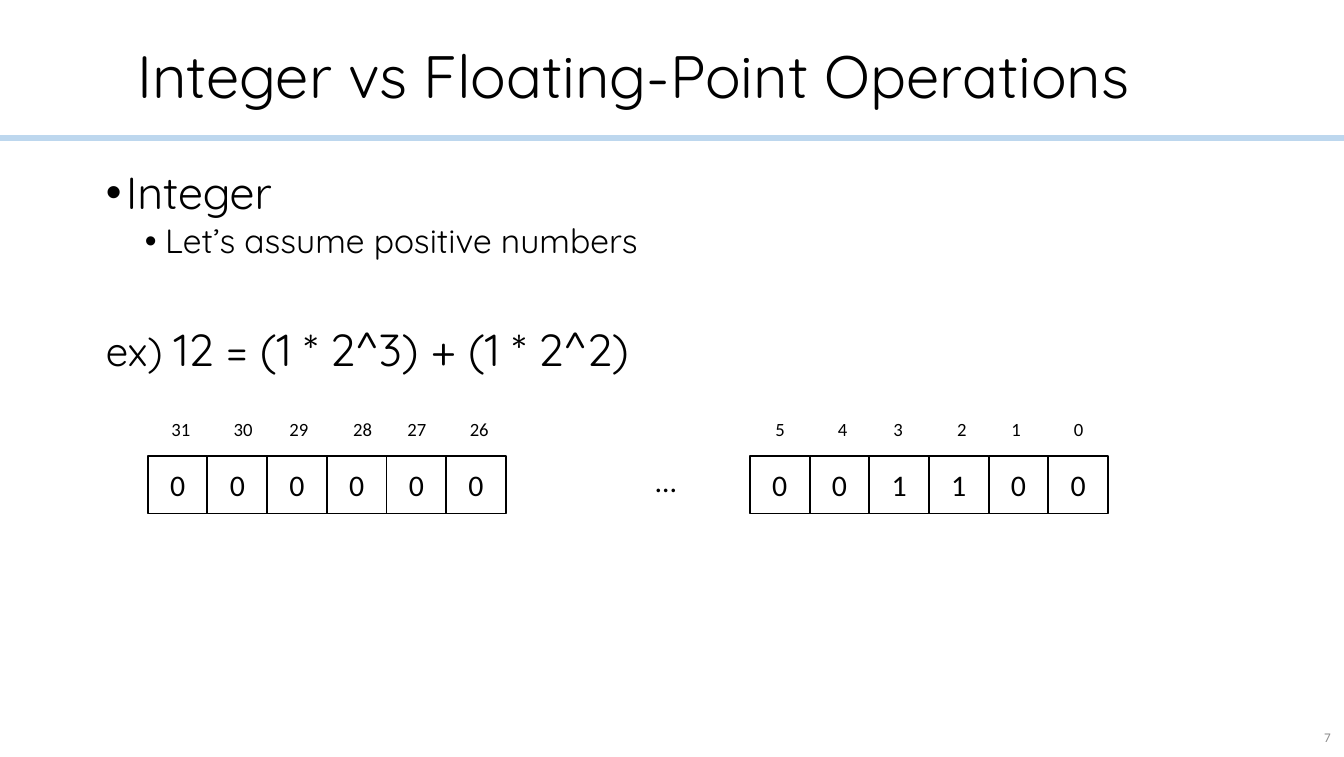
from dataclasses import dataclass

import pptx
import pptx.dml.color
import pptx.enum.shapes
import pptx.enum.text
import pptx.oxml
import pptx.oxml.ns
import pptx.util

Align = pptx.enum.text.PP_ALIGN
Anchor = pptx.enum.text.MSO_ANCHOR


@dataclass(frozen=True)
class Theme:
    ink: str = "000000"
    rule: str = "BDD7EE"
    muted: str = "8C8C8C"
    heading_font: str = "Quicksand"
    label_font: str = "Calibri"
    title: float = 32
    body: float = 24
    example: float = 21.6
    detail: float = 18
    bit: float = 16
    index: float = 10
    page: float = 7.1
    line_spacing: float = 0.9


@dataclass(frozen=True)
class Area:
    """A rectangle in percent of the slide's width and height."""
    left: float
    top: float
    width: float
    height: float


@dataclass(frozen=True)
class BitGroup:
    left: float
    label_left: float
    highest_index: int
    bits: str


THEME = Theme()
SLIDE_WIDTH = pptx.util.Inches(10)
SLIDE_HEIGHT = pptx.util.Inches(5.63)

BIT_WIDTH, BIT_TOP, BIT_HEIGHT = 4.44, 60.2, 7.65
INDEX_WIDTH, INDEX_TOP, INDEX_HEIGHT = 3.5, 54.35, 4.8
INDEX_NUDGES = (0, 0.2, -0.1, 0.2, -0.2, 0)
BIT_GROUPS = (
    BitGroup(11.0, 11.7, 31, "000000"),
    BitGroup(55.8, 56.3, 5, "001100"),
)


def place(area: Area) -> tuple[int, int, int, int]:
    """Turn percentages into slide lengths."""
    return (
        round(SLIDE_WIDTH * area.left / 100),
        round(SLIDE_HEIGHT * area.top / 100),
        round(SLIDE_WIDTH * area.width / 100),
        round(SLIDE_HEIGHT * area.height / 100),
    )


def color(value: str) -> pptx.dml.color.RGBColor:
    return pptx.dml.color.RGBColor.from_string(value)


def set_font(font, name: str, size: float, ink: str = THEME.ink) -> None:
    font.name = name
    font.size = pptx.util.Pt(size)
    font.color.rgb = color(ink)


def add_rectangle(slide, area: Area, line: str, fill: str | None = None):
    shape = slide.shapes.add_shape(
        pptx.enum.shapes.MSO_SHAPE.RECTANGLE, *place(area))
    shape.shadow.inherit = False
    if fill:
        shape.fill.solid()
        shape.fill.fore_color.rgb = color(fill)
    else:
        shape.fill.background()
    shape.line.color.rgb = color(line)
    shape.line.width = pptx.util.Pt(1)
    return shape


def add_text_frame(slide, area: Area):
    frame = slide.shapes.add_textbox(*place(area)).text_frame
    frame.word_wrap = True
    return frame


def write(frame, text: str, font: str, size: float, ink: str = THEME.ink,
          align: Align = Align.CENTER, anchor: Anchor = Anchor.TOP):
    """Fill a frame with one line of text and return its paragraph."""
    frame.vertical_anchor = anchor
    paragraph = frame.paragraphs[0]
    paragraph.text = text
    paragraph.alignment = align
    set_font(paragraph.font, font, size, ink)
    return paragraph


def add_bullet(paragraph, margin: float, indent: float) -> None:
    properties = paragraph._p.get_or_add_pPr()
    properties.set("marL", str(pptx.util.Inches(margin)))
    properties.set("indent", str(pptx.util.Inches(indent)))
    namespace = pptx.oxml.ns.nsdecls("a")
    properties.append(pptx.oxml.parse_xml(f'<a:buFont {namespace} typeface="Arial"/>'))
    properties.append(pptx.oxml.parse_xml(f'<a:buChar {namespace} char="•"/>'))


def add_body(slide) -> None:
    frame = add_text_frame(slide, Area(6.9, 21.67, 85, 70.16))
    topic = frame.paragraphs[0]
    detail = frame.add_paragraph()
    example = frame.add_paragraph()

    topic.text = "Integer"
    add_bullet(topic, 0.15, -0.15)
    set_font(topic.font, THEME.heading_font, THEME.body)

    detail.text = "Let’s assume positive numbers"
    detail.level = 1
    detail.space_before = pptx.util.Pt(3)
    add_bullet(detail, 0.44, -0.15)
    set_font(detail.font, THEME.heading_font, THEME.detail)

    example.space_before = pptx.util.Pt(36)
    for text, size in (("ex) ", THEME.example),
                       ("12 = (1 * 2^3) + (1 * 2^2)", THEME.body)):
        run = example.add_run()
        run.text = text
        set_font(run.font, THEME.heading_font, size)

    for paragraph in frame.paragraphs:
        paragraph.line_spacing = THEME.line_spacing


def add_bit_group(slide, group: BitGroup) -> None:
    for column, (bit, nudge) in enumerate(zip(group.bits, INDEX_NUDGES)):
        offset = column * BIT_WIDTH
        cell = add_rectangle(
            slide, Area(group.left + offset, BIT_TOP, BIT_WIDTH, BIT_HEIGHT), THEME.ink)
        write(cell.text_frame, bit, THEME.label_font, THEME.bit, anchor=Anchor.MIDDLE)
        label = add_text_frame(slide, Area(
            group.label_left + offset + nudge, INDEX_TOP, INDEX_WIDTH, INDEX_HEIGHT))
        write(label, str(group.highest_index - column), THEME.label_font, THEME.index)


def main() -> None:
    presentation = pptx.Presentation()
    presentation.slide_width = SLIDE_WIDTH
    presentation.slide_height = SLIDE_HEIGHT
    slide = presentation.slides.add_slide(presentation.slide_layouts[6])

    add_rectangle(slide, Area(0, 17.94, 100, 0.53), THEME.rule, THEME.rule)
    title = write(add_text_frame(slide, Area(6.9, 5.33, 80.5, 10.66)),
                  "Integer vs Floating-Point Operations",
                  THEME.heading_font, THEME.title)
    title.line_spacing = THEME.line_spacing
    add_body(slide)
    for group in BIT_GROUPS:
        add_bit_group(slide, group)
    write(add_text_frame(slide, Area(47.8, BIT_TOP, BIT_WIDTH, 6.57)), "…",
          THEME.label_font, THEME.bit, align=Align.LEFT)
    write(add_text_frame(slide, Area(96.6, 94.67, 3.4, 5.33)), "7",
          THEME.label_font, THEME.page, THEME.muted, Align.RIGHT, Anchor.MIDDLE)

    presentation.save("out.pptx")


if __name__ == "__main__":
    main()
